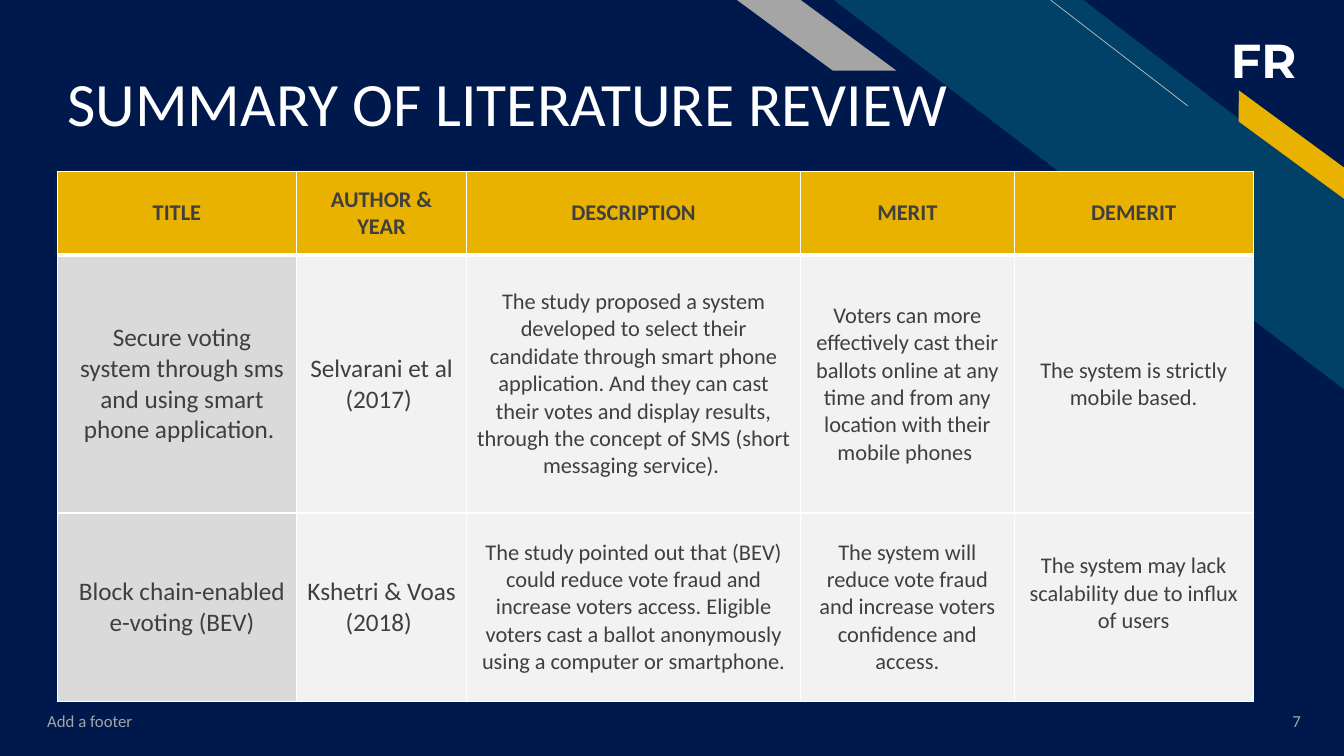
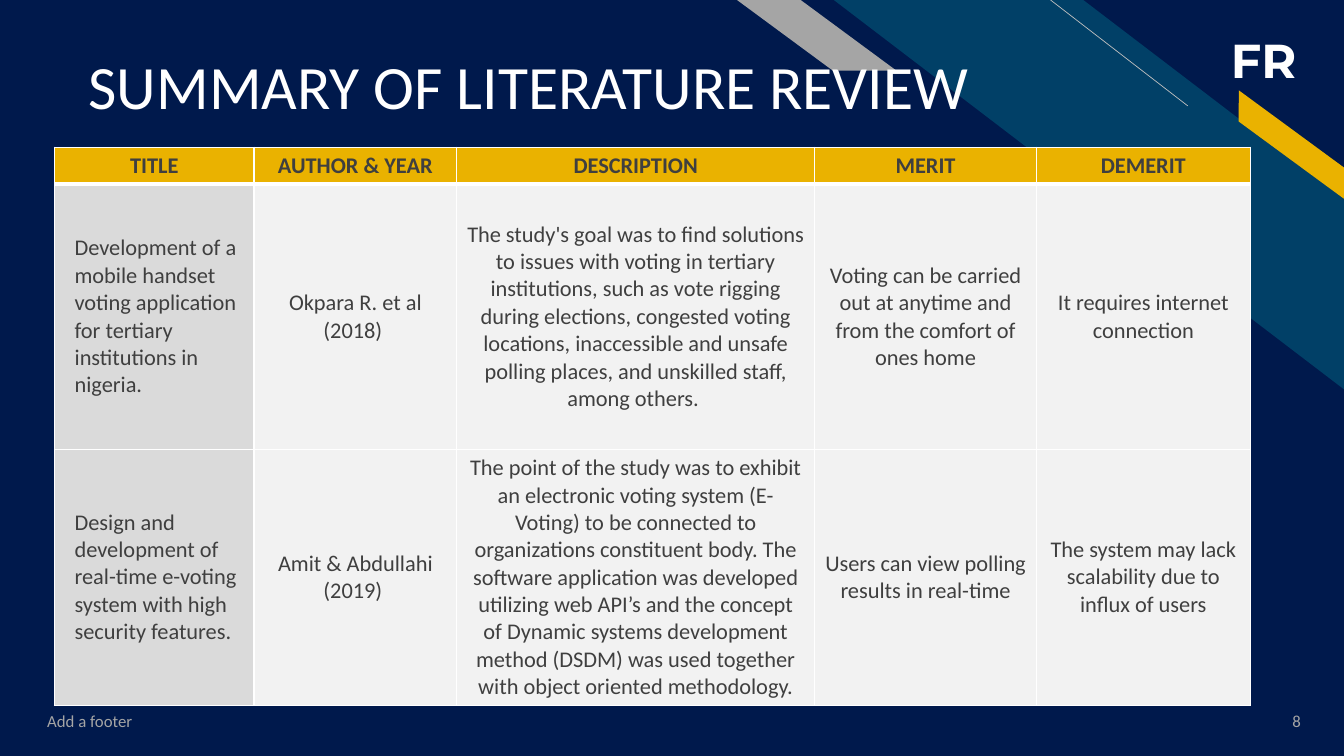
from lxml.etree import SubElement
from pptx import Presentation
from pptx.dml.color import RGBColor
from pptx.enum.shapes import MSO_CONNECTOR, MSO_SHAPE
from pptx.enum.text import MSO_ANCHOR as Anchor, MSO_AUTO_SIZE as AutoSize, PP_ALIGN as Align
from pptx.oxml import parse_xml
from pptx.oxml.ns import nsdecls, qn
from pptx.util import Inches, Pt

# Shared colours and fonts
NAVY, TEAL, GOLD, GREY = "00194C", "014067", "EAB200", "A5A5A5"
WHITE, INK, HAIRLINE = "FFFFFF", "3F3F3F", "BFBFBF"
TITLE_CELL, BODY_CELL = "DADADA", "F2F2F2"
BODY_FONT, BADGE_FONT = "Calibri", "Montserrat"

# Shared wording
HEADING = "SUMMARY OF LITERATURE REVIEW"
HEADERS = ["TITLE", "AUTHOR & YEAR", "DESCRIPTION", "MERIT", "DEMERIT"]
FOOTER = "Add a footer"

# What differs from slide to slide
REVIEWS = [
    {
        "number": 7,
        "heading_at": (0.57, 0.13, 9.11, 1.26),
        "table_at": (0.57, 1.7),
        "columns": [2.37, 1.69, 3.31, 2.12, 2.37],
        "row_heights": [0.83, 2.56, 1.87],
        "label_size": 18,
        "label_align": Align.CENTER,
        "raised": {(2, 4): 0.32},
        "studies": [
            ["Secure voting system through sms and using smart phone application. ",
             "Selvarani et al (2017) ",
             "The study proposed a system developed to select their candidate through smart "
             "phone application. And they can cast their votes and display results, through "
             "the concept of SMS (short messaging service). ",
             "Voters can more effectively cast their ballots online at any time and from any "
             "location with their mobile phones ",
             "The system is strictly mobile based."],
            ["Block chain-enabled e-voting (BEV)",
             "Kshetri & Voas (2018) ",
             "The study pointed out that (BEV) could reduce vote fraud and increase voters "
             "access. Eligible voters cast a ballot anonymously using a computer or smartphone.",
             "The system will reduce vote fraud and increase voters confidence and access.",
             "The system may lack scalability due to influx of users"],
        ],
    },
    {
        "number": 8,
        "heading_at": (0.78, 0.49, 9.11, 0.73),
        "table_at": (0.54, 1.46),
        "columns": [1.98, 2.01, 3.55, 2.2, 2.12],
        "row_heights": [0.36, 2.63, 2.54],
        "label_size": 16,
        "label_align": Align.LEFT,
        "raised": {},
        "studies": [
            ["Development of a mobile handset voting application for tertiary institutions "
             "in nigeria.",
             "Okpara R. et al (2018) ",
             "The study's goal was to find solutions to issues with voting in tertiary "
             "institutions, such as vote rigging during elections, congested voting locations, "
             "inaccessible and unsafe polling places, and unskilled staff, among others. ",
             "Voting can be carried out at anytime and from the comfort of ones home",
             "It requires internet connection"],
            ["Design and development of real-time e-voting system with high security features.",
             "Amit & Abdullahi\n(2019) ",
             "The point of the study was to exhibit an electronic voting system (E-Voting) to "
             "be connected to organizations constituent body. The software application was "
             "developed utilizing web API’s and the concept of Dynamic systems development "
             "method (DSDM) was used together with object oriented methodology.",
             "Users can view polling results in real-time",
             "The system may lack scalability due to influx of users"],
        ],
    },
]


def colour(value):
    return RGBColor.from_string(value)


def inches(values):
    return [Inches(value) for value in values]


def set_all(target, values):
    for name, value in values.items():
        setattr(target, name, value)


def write(frame, text, size, ink, font=BODY_FONT, bold=False, align=Align.LEFT, spacing=1.0):
    """Fill a text frame, one paragraph for each line of the text."""
    frame.text = text
    for para in frame.paragraphs:
        set_all(para, {"alignment": align, "line_spacing": spacing})
        for span in para.runs:
            set_all(span.font, {"name": font, "size": Pt(size), "bold": bold})
            span.font.color.rgb = colour(ink)


def add_text(page, at, text, size, ink, anchor=Anchor.MIDDLE, bottom=0.05, wrap=True, **style):
    box = page.shapes.add_textbox(*inches(at))
    set_all(box.text_frame, {"word_wrap": wrap, "vertical_anchor": anchor,
                             "margin_bottom": Inches(bottom),
                             "auto_size": AutoSize.NONE if wrap else AutoSize.SHAPE_TO_FIT_TEXT})
    write(box.text_frame, text, size, ink, **style)


def add_band(page, kind, at, fill, slant, rotation=0):
    """Draw a slanted band, mirrored left to right."""
    band = page.shapes.add_shape(kind, *inches(at))
    band.adjustments[0] = slant
    band.rotation = rotation
    band.shadow.inherit = False
    band.fill.solid()
    band.fill.fore_color.rgb = colour(fill)
    band.line.fill.background()
    band._element.spPr.xfrm.set("flipH", "1")


def add_hairline(page, start, end):
    line = page.shapes.add_connector(MSO_CONNECTOR.STRAIGHT, *inches(start + end))
    line.line.color.rgb = colour(HAIRLINE)
    line.line.width = Pt(0.5)
    SubElement(line._element.spPr, qn("a:effectLst"))


def set_borders(cell, top, bottom):
    """Give a cell white borders; top and bottom widths are in points."""
    widths = {"L": 1, "R": 1, "T": top, "B": bottom}
    for index, (side, width) in enumerate(widths.items()):
        border = parse_xml(
            f'<a:ln{side} {nsdecls("a")} w="{Pt(width)}"><a:solidFill>'
            f'<a:srgbClr val="{WHITE}"/></a:solidFill></a:ln{side}>')
        cell._tc.get_or_add_tcPr().insert(index, border)


def fill_cell(cell, text, fill, left=0.1, bottom=0.05, **style):
    set_all(cell, {"vertical_anchor": Anchor.MIDDLE, "margin_left": Inches(left),
                   "margin_right": Inches(0.1), "margin_top": Inches(0.05),
                   "margin_bottom": Inches(bottom)})
    cell.fill.solid()
    cell.fill.fore_color.rgb = colour(fill)
    write(cell.text_frame, text, ink=INK, **style)


def add_review_table(page, review):
    columns, heights = review["columns"], review["row_heights"]
    size = (sum(columns), sum(heights))
    rows = [HEADERS] + review["studies"]
    table = page.shapes.add_table(len(rows), len(columns),
                                  *inches(review["table_at"] + size)).table
    table.horz_banding = False
    for column, width in zip(table.columns, columns):
        column.width = Inches(width)
    for row, height in zip(table.rows, heights):
        row.height = Inches(height)

    for r, texts in enumerate(rows):
        for c, text in enumerate(texts):
            cell = table.cell(r, c)
            style = {"fill": BODY_CELL, "size": 16, "align": Align.CENTER,
                     "bottom": review["raised"].get((r, c), 0.05)}
            if r == 0:
                style.update(fill=GOLD, bold=True)
            elif c == 0:
                style.update(fill=TITLE_CELL, left=0.2, size=review["label_size"],
                             align=review["label_align"])
            elif c == 1:
                style.update(size=review["label_size"])
            fill_cell(cell, text, **style)
            set_borders(cell, top=3 if r == 1 else 1, bottom=3 if r == 0 else 1)


def add_backdrop(page):
    """Background, corner bands and monogram shared by the slides."""
    page.background.fill.solid()
    page.background.fill.fore_color.rgb = colour(NAVY)
    add_text(page, (12.11, 0.26, 0.89, 0.67), "FR", 34, WHITE, anchor=Anchor.TOP,
             wrap=False, font=BADGE_FONT, bold=True)
    add_band(page, MSO_SHAPE.DIAGONAL_STRIPE, (8.27, 0, 5.07, 3.87), TEAL, 0.512)
    add_hairline(page, (11.78, 1.05), (10.42, 0))
    add_band(page, MSO_SHAPE.PARALLELOGRAM, (12.07, 1.31, 1.48, 0.25), GOLD, 0.72, 36.3)
    add_band(page, MSO_SHAPE.PARALLELOGRAM, (7.31, 0, 1.58, 0.7), GREY, 1.356)


def add_footer(page, number):
    add_text(page, (0.37, 6.95, 4.5, 0.4), FOOTER, 12, GREY)
    add_text(page, (12.19, 6.95, 0.81, 0.4), str(number), 12, GREY, align=Align.RIGHT)


def main():
    deck = Presentation()
    set_all(deck, {"slide_width": Inches(13.33), "slide_height": Inches(7.5)})
    for review in REVIEWS:
        page = deck.slides.add_slide(deck.slide_layouts[6])
        add_backdrop(page)
        add_text(page, review["heading_at"], HEADING, 44, WHITE, anchor=Anchor.BOTTOM,
                 bottom=0, spacing=0.9)
        add_review_table(page, review)
        add_footer(page, review["number"])
    deck.save("out.pptx")


if __name__ == "__main__":
    main()
